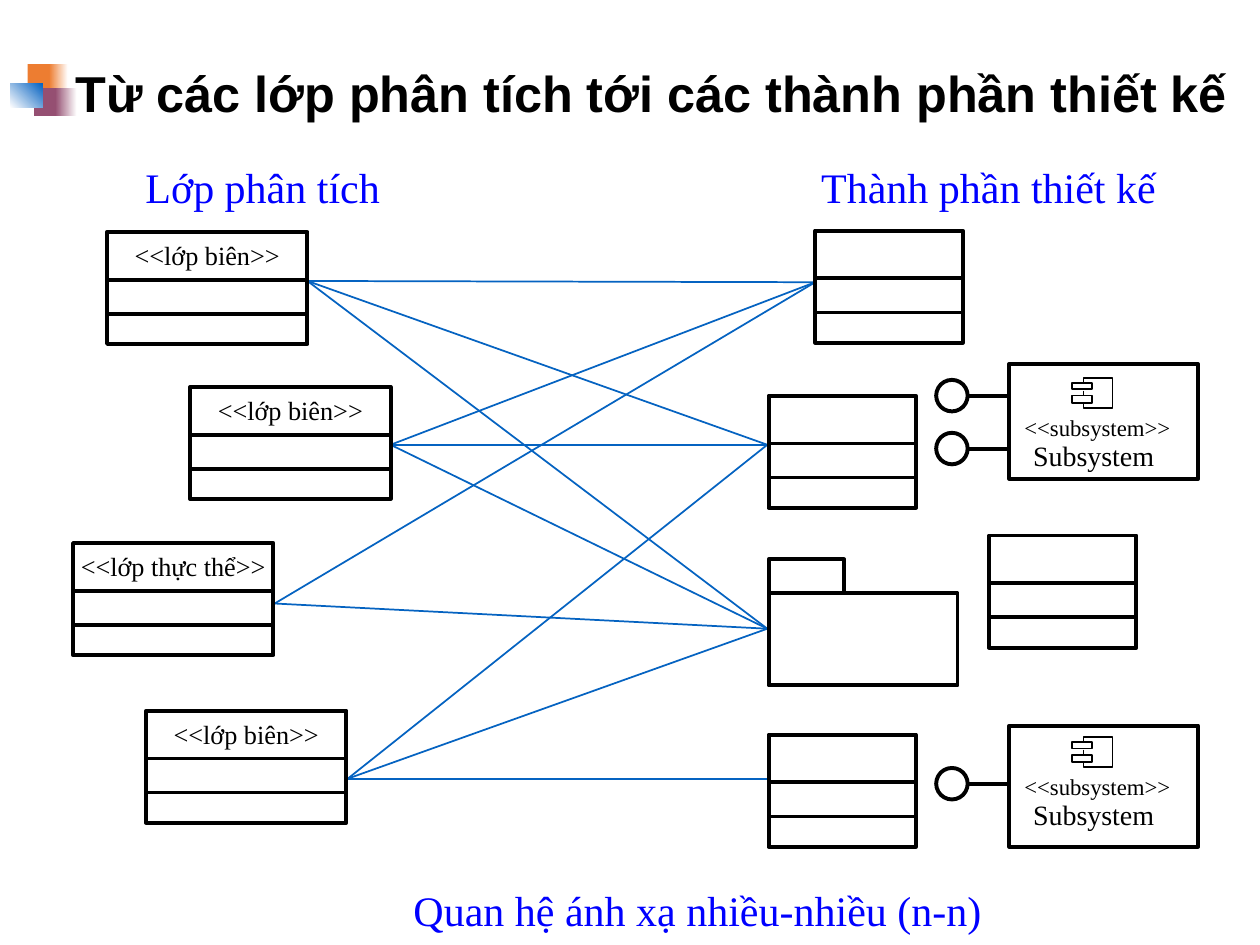
from lxml import etree
from pptx import Presentation
from pptx.dml.color import RGBColor
from pptx.enum import shapes, text
from pptx.oxml import ns
from pptx.util import Inches, Pt

deck = Presentation()
deck.slide_width, deck.slide_height = Inches(10), Inches(7.5)
slide = deck.slides.add_slide(deck.slide_layouts[6])
rgb = RGBColor.from_string


def write(content, x, y, w, h, size, color="000000", font="Times New Roman", bold=False,
          align=text.PP_ALIGN.CENTER, anchor=text.MSO_ANCHOR.TOP, inset=(0.12, 0.06),
          wrap=True, spacing=1.0):
    frame = slide.shapes.add_textbox(Inches(x), Inches(y), Inches(w), Inches(h)).text_frame
    frame.word_wrap = wrap
    frame.vertical_anchor = anchor
    frame.margin_left = frame.margin_right = Inches(inset[0])
    frame.margin_top = frame.margin_bottom = Inches(inset[1])
    paragraph = frame.paragraphs[0]
    paragraph.alignment = align
    paragraph.line_spacing = spacing
    run = paragraph.add_run()
    run.text = content
    run.font.name, run.font.size, run.font.bold = font, Pt(size), bold
    run.font.color.rgb = rgb(color)


def connect(start, end, color="000000", weight=2.25):
    link = slide.shapes.add_connector(shapes.MSO_CONNECTOR.STRAIGHT,
                                      *[Inches(v) for v in (*start, *end)])
    link.line.color.rgb = rgb(color)
    link.line.width = Pt(weight)
    etree.SubElement(link._element.spPr, ns.qn("a:effectLst"))


ornament = [
    (0.22, 0.51, 0.2, 0.22, ["ED7D31"], 0),
    (0.39, 0.51, 0.15, 0.22, ["ED7D31", "FFFFFF"], 0),
    (0.27, 0.7, 0.19, 0.22, ["954F72"], 0),
    (0.44, 0.7, 0.17, 0.22, ["954F72", "FFFFFF"], 0),
    (0.08, 0.66, 0.26, 0.19, ["FFFFFF", "0563C1"], 45),
]
for x, y, w, h, colors, angle in ornament:
    tile = slide.shapes.add_shape(shapes.MSO_SHAPE.RECTANGLE,
                                  Inches(x), Inches(y), Inches(w), Inches(h))
    tile.shadow.inherit = False
    tile.line.fill.background()
    if len(colors) == 1:
        tile.fill.solid()
        tile.fill.fore_color.rgb = rgb(colors[0])
    else:
        tile.fill.gradient()
        tile.fill.gradient_angle = angle
        for stop, color in zip(tile.fill.gradient_stops, colors):
            stop.color.rgb = rgb(color)

write("Từ các lớp phân tích tới các thành phần thiết kế", 0.5, 0.42, 9.5, 0.69, 28.8,
      font="Arial", bold=True, align=text.PP_ALIGN.LEFT, anchor=text.MSO_ANCHOR.MIDDLE,
      inset=(0.1, 0.05), spacing=0.9)
for caption, x, y, w in [("Lớp phân tích", 0.5, 1.22, 3.17),
                         ("Thành phần thiết kế", 6.19, 1.22, 3.31),
                         ("Quan hệ ánh xạ nhiều-nhiều (n-n)", 2.86, 6.96, 5.35)]:
    write(caption, x, y, w, 0.52, 24, color="0000FF")

analysis_ports = [(2.44, 2.23), (3.1, 3.53), (2.18, 4.79), (2.76, 6.18)]
design_ports = [(6.47, 2.24), (6.09, 3.53), (6.09, 4.99), (6.09, 6.18)]
mapping = [(0, 0), (0, 1), (0, 2), (1, 0), (1, 1), (1, 2),
           (2, 0), (2, 2), (3, 1), (3, 2), (3, 3)]
for analysis, design in mapping:
    connect(analysis_ports[analysis], design_ports[design], color="0563C1", weight=1)

analysis_classes = [("<<lớp biên>>", 0.85, 1.84), ("<<lớp biên>>", 1.51, 3.07),
                    ("<<lớp thực thể>>", 0.58, 4.31), ("<<lớp biên>>", 1.16, 5.64)]
design_classes = [(6.47, 1.83), (6.1, 3.14), (7.85, 4.25), (6.1, 5.83)]
classes = [(x, y, 1.59) for _, x, y in analysis_classes]
classes += [(x, y, 1.17) for x, y in design_classes]

rectangle, oval = shapes.MSO_SHAPE.RECTANGLE, shapes.MSO_SHAPE.OVAL
outlines = [(rectangle, 6.1, 4.71, 1.5, 0.73, 2.25), (rectangle, 6.1, 4.44, 0.6, 0.27, 2.25)]
for x, y, w in classes:
    outlines.append((rectangle, x, y, w, 0.89, 2.25))
    for divider in (0.38, 0.65):
        connect((x, y + divider), (x + w, y + divider))
for stereotype, x, y in analysis_classes:
    write(stereotype, x - 0.08, y, 1.75, 0.37, 15)

subsystems = [(2.89, 0.91, 3, [3.14, 3.56]), (5.76, 0.96, 5.85, [6.22])]
for top, height, icon, interfaces in subsystems:
    outlines += [(rectangle, 8.01, top, 1.5, height, 2.25),
                 (rectangle, 8.51, icon + 0.04, 0.16, 0.05, 1),
                 (rectangle, 8.51, icon + 0.14, 0.16, 0.06, 1)]
    for y in interfaces:
        outlines.append((oval, 7.43, y - 0.125, 0.25, 0.25, 2.25))
        connect((7.68, y), (8.01, y))
    for label, x, drop, w, h, size in [("<<subsystem>>", 8.13, 0.28, 1.29, 0.22, 13),
                                       ("Subsystem", 8.2, 0.48, 0.97, 0.27, 16)]:
        write(label, x, icon + drop, w, h, size, align=text.PP_ALIGN.LEFT,
              inset=(0, 0), wrap=False)
    connect((8.6, icon + 0.1), (8.6, icon + 0.14), weight=1)
    pen = slide.shapes.build_freeform(Inches(8.6), Inches(icon + 0.04))
    pen.add_line_segments([(Inches(x), Inches(icon + drop)) for x, drop in
                           [(8.6, 0), (8.83, 0), (8.83, 0.24), (8.6, 0.24), (8.6, 0.21)]],
                          close=False)
    component = pen.convert_to_shape()
    component.shadow.inherit = False
    component.fill.background()
    component.line.color.rgb = rgb("000000")
    component.line.width = Pt(1)

for kind, x, y, w, h, weight in outlines:
    outline = slide.shapes.add_shape(kind, Inches(x), Inches(y), Inches(w), Inches(h))
    outline.shadow.inherit = False
    outline.fill.background()
    outline.line.color.rgb = rgb("000000")
    outline.line.width = Pt(weight)

deck.save("out.pptx")
